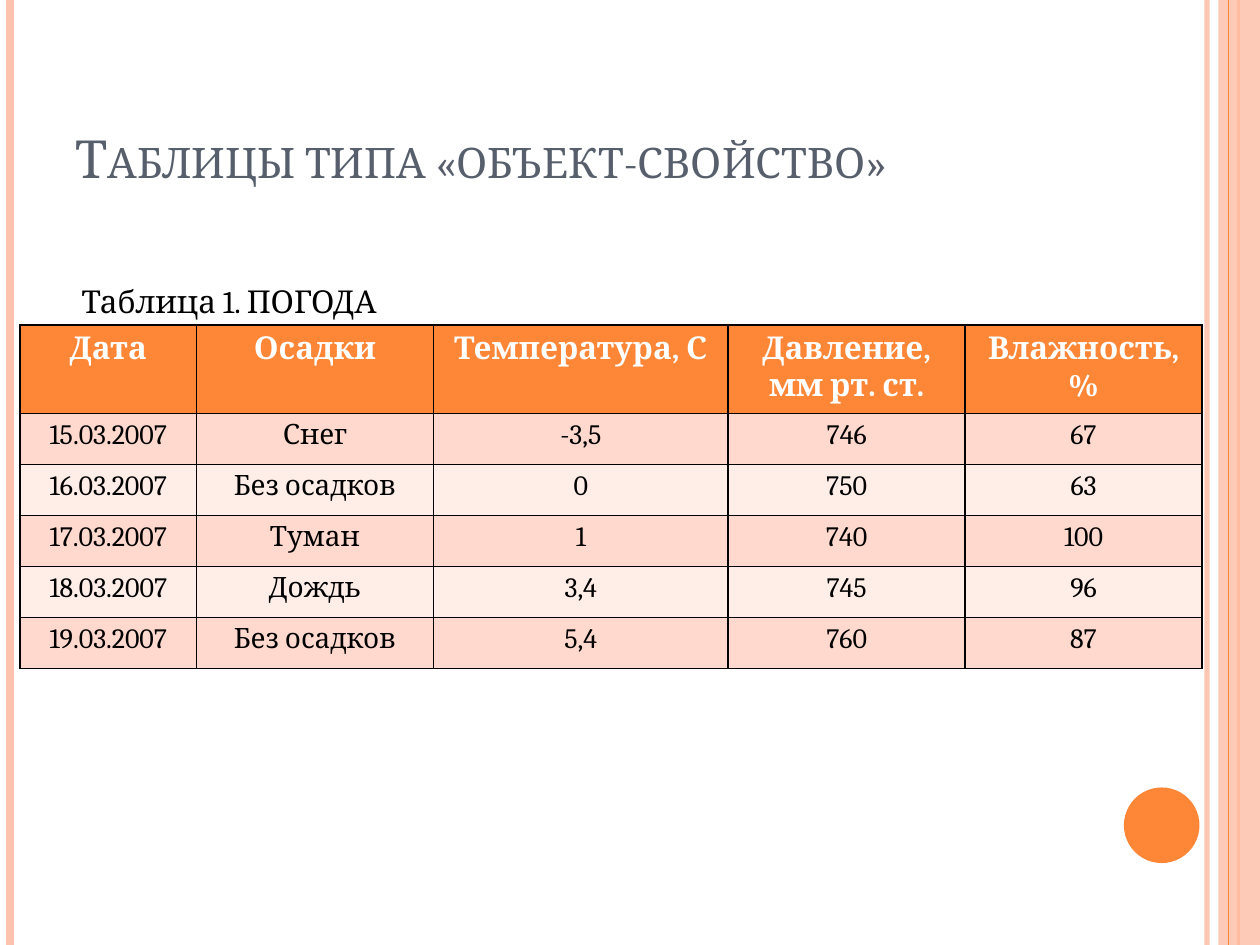
from lxml.etree import SubElement
from pptx import Presentation
from pptx.dml.color import RGBColor
from pptx.enum.shapes import MSO_CONNECTOR, MSO_SHAPE
from pptx.enum.text import MSO_ANCHOR, PP_ALIGN
from pptx.oxml.ns import qn
from pptx.util import Inches, Pt

ORANGE = RGBColor(0xFE, 0x86, 0x37)
PEACH = RGBColor(0xFE, 0xC3, 0xAE)
SLATE = RGBColor(0x57, 0x5F, 0x6D)
BLACK = RGBColor(0, 0, 0)
WHITE = RGBColor(0xFF, 0xFF, 0xFF)
BANDS = (RGBColor(0xFF, 0xED, 0xE8), RGBColor(0xFF, 0xD9, 0xCE))
FONT = "Cambria"
COLUMN_WIDTHS = (1.4, 1.88, 2.34, 1.88, 1.88)
ROW_HEIGHT = 0.405
WEATHER = (
    ("Дата", "Осадки", "Температура, С", "Давление, мм рт. ст.", "Влажность, %"),
    ("15.03.2007", "Снег", "-3,5", "746", "67"),
    ("16.03.2007", "Без осадков", "0", "750", "63"),
    ("17.03.2007", "Туман", "1", "740", "100"),
    ("18.03.2007", "Дождь", "3,4", "745", "96"),
    ("19.03.2007", "Без осадков", "5,4", "760", "87"),
)


def set_opacity(element, percent):
    color = next(element.iter(qn("a:srgbClr")))
    SubElement(color, qn("a:alpha")).set("val", str(percent * 1000))


def add_stripe(page, left, color, width, opacity=100):
    x = Inches(left)
    stripe = page.shapes.add_connector(MSO_CONNECTOR.STRAIGHT, x, 0, x, Inches(7.5))
    stripe.line.color.rgb = color
    stripe.line.width = Pt(width)
    properties = stripe._element.spPr
    if opacity < 100:
        set_opacity(properties, opacity)
    SubElement(properties, qn("a:effectLst"))


def add_filled_shape(page, kind, left, top, width, height, color):
    shape = page.shapes.add_shape(
        kind, Inches(left), Inches(top), Inches(width), Inches(height))
    shape.shadow.inherit = False
    shape.fill.solid()
    shape.fill.fore_color.rgb = color
    shape.line.fill.background()
    return shape


def write_text(frame, text, size, color, bold=False):
    frame.text = text
    span = frame.paragraphs[0].runs[0]
    span.font.name = FONT
    span.font.size = Pt(size)
    span.font.color.rgb = color
    span.font.bold = bold
    return span


def add_text(page, left, top, width, height, text, size, color, wrap=True):
    box = page.shapes.add_textbox(
        Inches(left), Inches(top), Inches(width), Inches(height))
    box.text_frame.word_wrap = wrap
    span = write_text(box.text_frame, text, size, color)
    return box, span


def add_title(page, text):
    box, span = add_text(page, 0.5, 0.3, 8.17, 1.25, text, 30, SLATE)
    box.text_frame.vertical_anchor = MSO_ANCHOR.BOTTOM
    span._r.get_or_add_rPr().set("cap", "small")


def set_borders(cell):
    properties = cell._tc.get_or_add_tcPr()
    for index, side in enumerate(("a:lnL", "a:lnR", "a:lnT", "a:lnB")):
        line = properties.makeelement(qn(side), {"w": str(Pt(1))})
        properties.insert(index, line)
        fill = SubElement(line, qn("a:solidFill"))
        SubElement(fill, qn("a:srgbClr")).set("val", str(BLACK))


def add_weather_table(page):
    table = page.shapes.add_table(
        len(WEATHER), len(COLUMN_WIDTHS), Inches(0.16), Inches(2.58),
        Inches(sum(COLUMN_WIDTHS)), Inches(ROW_HEIGHT * len(WEATHER))).table
    for column, width in zip(table.columns, COLUMN_WIDTHS):
        column.width = Inches(width)
    for row_index, values in enumerate(WEATHER):
        header = row_index == 0
        table.rows[row_index].height = Inches(ROW_HEIGHT)
        for column_index, value in enumerate(values):
            cell = table.cell(row_index, column_index)
            cell.fill.solid()
            cell.fill.fore_color.rgb = ORANGE if header else BANDS[row_index % 2]
            write_text(cell.text_frame, value, 18 if header else 16,
                       WHITE if header else BLACK, header)
            cell.text_frame.paragraphs[0].alignment = PP_ALIGN.CENTER
            set_borders(cell)


def add_decoration(page):
    add_stripe(page, 9.58, PEACH, 3, 93)
    add_stripe(page, 0.08, PEACH, 4.5)
    add_stripe(page, 9.83, ORANGE, 1.5)
    band = add_filled_shape(page, MSO_SHAPE.RECTANGLE, 9.67, 0, 0.33, 7.5, PEACH)
    set_opacity(band._element.spPr, 87)
    add_stripe(page, 9.75, ORANGE, 0.75)
    add_filled_shape(page, MSO_SHAPE.OVAL, 8.92, 6.25, 0.6, 0.6, ORANGE)


def main():
    """Build the weather table slide."""
    deck = Presentation()
    deck.slide_width, deck.slide_height = Inches(10), Inches(7.5)
    page = deck.slides.add_slide(deck.slide_layouts[6])
    add_decoration(page)
    add_title(page, "Таблицы типа «объект-свойство»")
    add_weather_table(page)
    add_text(page, 0.55, 2.19, 2.74, 0.4, "Таблица 1. ПОГОДА", 18, BLACK, wrap=False)
    deck.save("out.pptx")


if __name__ == "__main__":
    main()
